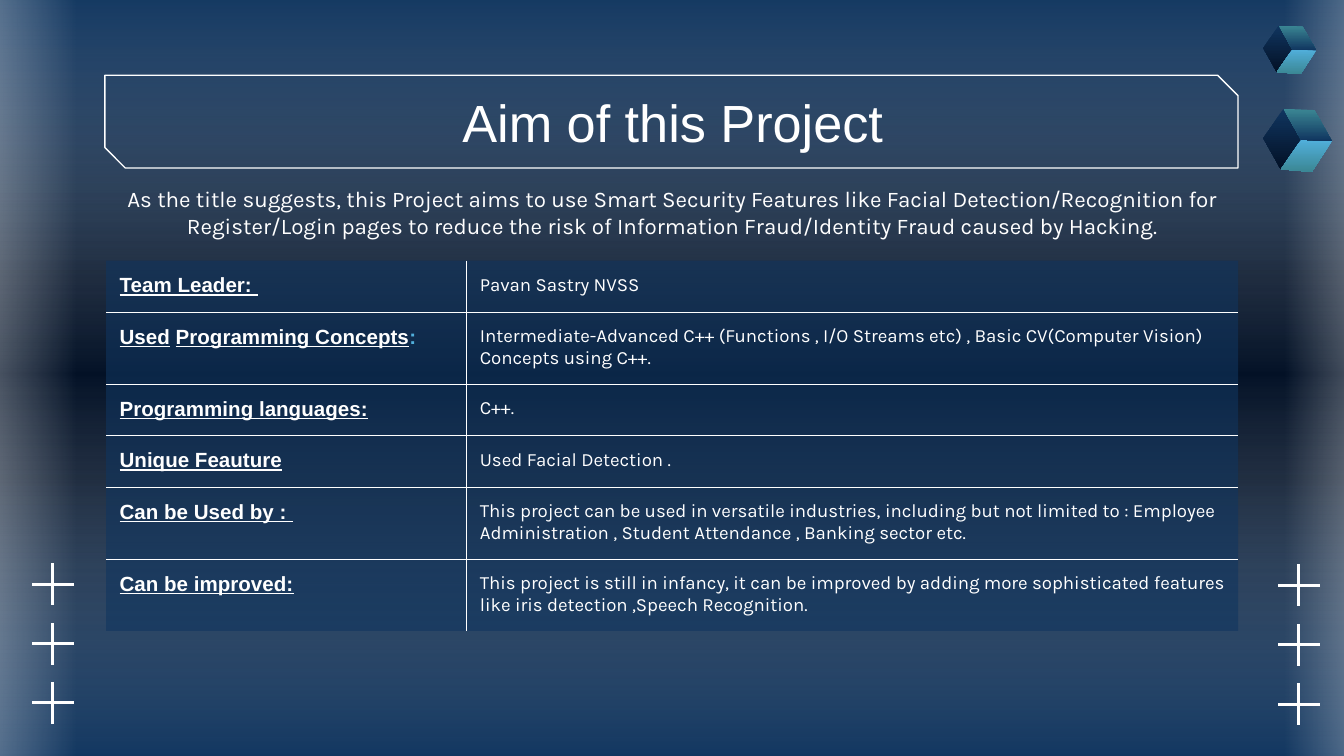
from lxml import etree
from pptx import Presentation
from pptx.dml.color import RGBColor
from pptx.enum import shapes, text
from pptx.oxml.ns import qn
from pptx.util import Pt

COLORS = {"navy": "10355F", "night": "031126", "white": "FFFFFF", "sky": "51AFDB", "teal": "3B8794"}


def write(frame, content, size=10, font="Karla", color="white", bold=False, underline=False,
          align=text.PP_ALIGN.LEFT, anchor=text.MSO_ANCHOR.TOP):
    frame.word_wrap = True
    frame.vertical_anchor = anchor
    frame.margin_left = frame.margin_right = frame.margin_top = frame.margin_bottom = Pt(7.2)
    paragraph = frame.paragraphs[0]
    paragraph.alignment = align
    run = paragraph.add_run()
    run.text = content
    run.font.size = Pt(size)
    run.font.name = font
    run.font.bold = bold
    run.font.underline = underline
    run.font.color.rgb = RGBColor.from_string(COLORS[color])


def set_gradient(fill, element, stops, angle=90):
    fill.gradient()
    gradient = next(element.iter(qn("a:gradFill")))
    gradient.clear()
    gradient.set("rotWithShape", "1")
    stop_list = etree.SubElement(gradient, qn("a:gsLst"))
    for position, color, opacity in stops:
        stop = etree.SubElement(stop_list, qn("a:gs"), pos=str(position * 1000))
        value = etree.SubElement(stop, qn("a:srgbClr"), val=COLORS[color])
        etree.SubElement(value, qn("a:alpha"), val=str(opacity * 1000))
    etree.SubElement(gradient, qn("a:lin"), ang=str(angle * 60000), scaled="0")


presentation = Presentation()
presentation.slide_width, presentation.slide_height = Pt(720), Pt(405)
slide = presentation.slides.add_slide(presentation.slide_layouts[6])
set_gradient(slide.background.fill, slide._element,
             [(0, "navy", 100), (37, "night", 100), (63, "night", 100), (100, "navy", 100)])

veil = [(0, "navy", 59), (50, "white", 0), (100, "navy", 59)]
glow = [(0, "white", 47), (100, "white", 0)]
for left, top, width, height, rotation, stops in [
    (158.4, -167.8, 418.3, 735.1, 270, veil),
    (-29.5, -6.5, 70.6, 417.6, 180, glow),
    (688.3, -9.4, 61.2, 417.6, 0, glow),
]:
    shape = slide.shapes.add_shape(shapes.MSO_SHAPE.RECTANGLE, Pt(left), Pt(top), Pt(width), Pt(height))
    shape.rotation = rotation
    shape.shadow.inherit = False
    shape.line.fill.background()
    set_gradient(shape.fill, shape._element, stops, 180)

frame = slide.shapes.add_shape(shapes.MSO_SHAPE.SNIP_2_DIAG_RECTANGLE, Pt(56.2), Pt(40.3), Pt(607), Pt(49.7))
frame.adjustments[0], frame.adjustments[1] = 0, 0.22
frame.shadow.inherit = False
frame.fill.background()
frame.line.width = Pt(0.75)
frame.line.color.rgb = RGBColor.from_string(COLORS["white"])

title = slide.shapes.add_textbox(Pt(56.9), Pt(42.5), Pt(607), Pt(45.4))
write(title.text_frame, "Aim of this Project", size=28, font="Arial",
      align=text.PP_ALIGN.CENTER, anchor=text.MSO_ANCHOR.MIDDLE)
summary = slide.shapes.add_textbox(Pt(56.9), Pt(92.2), Pt(607), Pt(45.4))
write(summary.text_frame,
      "As the title suggests, this Project aims to use Smart Security Features like Facial "
      "Detection/Recognition for Register/Login pages to reduce the risk of Information "
      "Fraud/Identity Fraud caused by Hacking.", size=12, align=text.PP_ALIGN.CENTER)

heading = {"size": 11, "font": "Arial", "bold": True, "underline": True}
plain = {**heading, "underline": False, "color": "sky"}
rows = [
    ([("Team Leader: ", heading)], "Pavan Sastry NVSS"),
    ([("Used", heading), (" ", plain), ("Programming Concepts", heading), (":", plain)],
     "Intermediate-Advanced C++ (Functions , I/O Streams etc) , Basic CV(Computer Vision) "
     "Concepts using C++."),
    ([("Programming languages:", heading)], "C++."),
    ([("Unique Feauture", heading)], "Used Facial Detection ."),
    ([("Can be Used by : ", heading)],
     "This project can be used in versatile industries, including but not limited to : Employee "
     "Administration , Student Attendance , Banking sector etc."),
    ([("Can be improved:", heading)],
     "This project is still in infancy, it can be improved by adding more sophisticated features "
     "like iris detection ,Speech Recognition."),
]
table = slide.shapes.add_table(len(rows), 2, Pt(56.9), Pt(139.7), Pt(606.4), Pt(27.6 * len(rows))).table
table.first_row = table.horz_banding = False
table.columns[0].width, table.columns[1].width = Pt(193), Pt(413.4)
for row, (labels, detail) in enumerate(rows):
    for column, runs in enumerate([labels, [(detail, {})]]):
        cell = table.cell(row, column)
        for content, style in runs:
            write(cell.text_frame, content, **style)
        cell.margin_left = cell.margin_right = cell.margin_top = cell.margin_bottom = Pt(7.2)
        cell.fill.solid()
        cell.fill.fore_color.rgb = RGBColor.from_string(COLORS["navy"])
        properties = cell._tc.get_or_add_tcPr()
        etree.SubElement(next(properties.iter(qn("a:srgbClr"))), qn("a:alpha"), val="59000")
        inner = {"a:lnL": column > 0, "a:lnR": column < 1, "a:lnT": row > 0, "a:lnB": row < len(rows) - 1}
        for index, (side, visible) in enumerate(inner.items()):
            border = etree.Element(qn(side), w=str(Pt(0.75)))
            if visible:
                line_fill = etree.SubElement(border, qn("a:solidFill"))
                etree.SubElement(line_fill, qn("a:srgbClr"), val=COLORS["white"])
            else:
                etree.SubElement(border, qn("a:noFill"))
            properties.insert(index, border)

outlines = []
for center_x, first_y in [(28.4, 313), (695.9, 313.6)]:
    for index in range(3):
        center_y = first_y + index * 31.8
        for half_width, half_height in [(11.3, 0.8), (0.8, 11.3)]:
            corners = [(-1, -1), (-1, 1), (1, 1), (1, -1)]
            outlines.append(([(center_x + x * half_width, center_y + y * half_height) for x, y in corners], None))

cube_faces = [
    ([(10.8, 0), (0, 15.8), (9.4, 32.4), (20.2, 16.6)], ("navy", "night")),
    ([(20.2, 16.6), (36.7, 17.3), (25.9, 33.8), (9.4, 32.4)], ("sky", "teal")),
    ([(10.8, 0), (27.4, 0.7), (36.7, 17.3), (20.2, 16.6)], ("teal", "navy")),
]
for left, top, scale in [(676.8, 58.3, 1), (676.8, 13.7, 0.77)]:
    for corners, shades in cube_faces:
        outlines.append(([(left + x * scale, top + y * scale) for x, y in corners], shades))

for corners, shades in outlines:
    points = [(Pt(x), Pt(y)) for x, y in corners]
    builder = slide.shapes.build_freeform(*points[0])
    builder.add_line_segments(points[1:], close=True)
    shape = builder.convert_to_shape()
    shape.shadow.inherit = False
    shape.line.fill.background()
    if shades:
        set_gradient(shape.fill, shape._element, [(0, shades[0], 100), (100, shades[1], 100)])
    else:
        shape.fill.solid()
        shape.fill.fore_color.rgb = RGBColor.from_string(COLORS["white"])

presentation.save("out.pptx")
